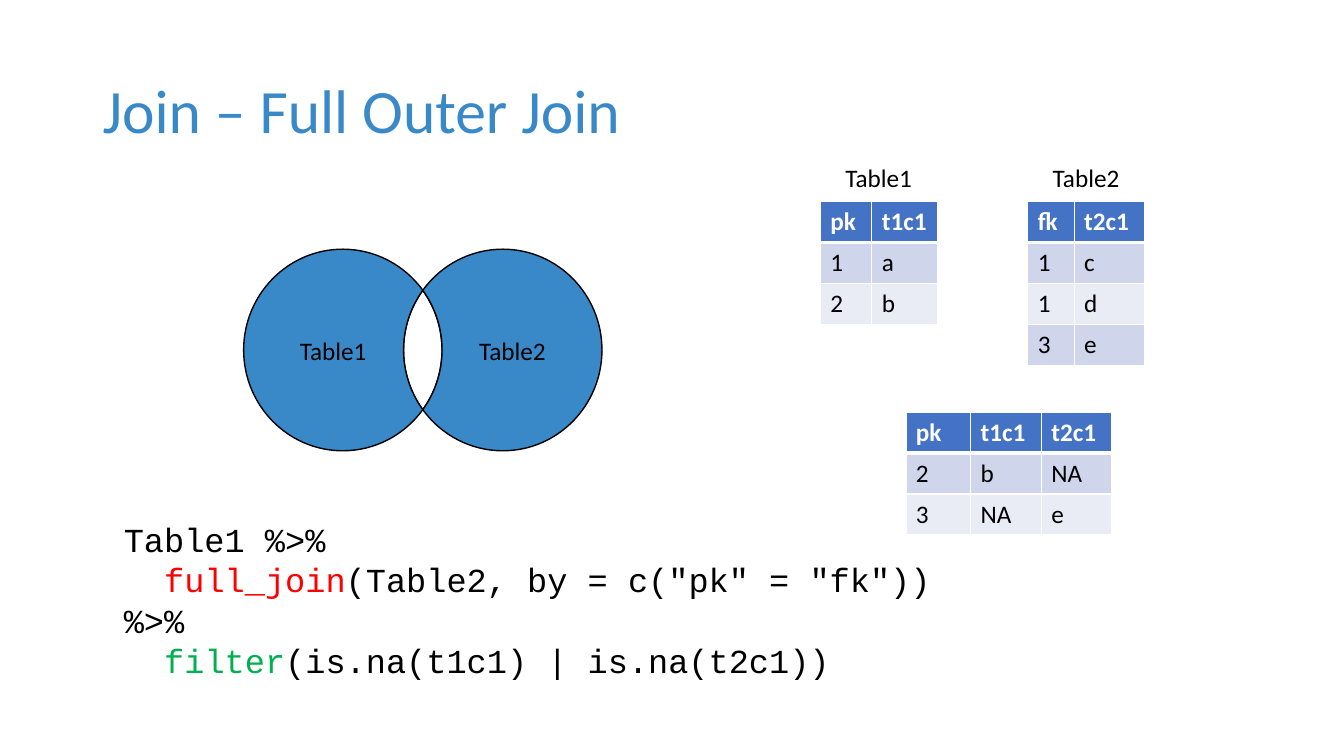
from dataclasses import dataclass
from itertools import pairwise
from math import acos, cos, pi, sin, tan

from lxml.etree import SubElement
from pptx import Presentation
from pptx.dml.color import RGBColor
from pptx.enum.text import MSO_ANCHOR, PP_ALIGN
from pptx.oxml.ns import qn
from pptx.util import Cm, Pt


@dataclass(frozen=True)
class Theme:
    accent: str = "3989C9"
    header: str = "4472C4"
    bands: tuple = ("CFD5EA", "E9EBF5")
    white: str = "FFFFFF"
    ink: str = "000000"
    join: str = "FF0000"
    filter: str = "00B050"
    sans: str = "Calibri"
    mono: str = "Courier New"
    title_size: int = 44
    code_size: int = 24
    body_size: int = 18


theme = Theme()


def add_run(paragraph, text, color=theme.ink, size=theme.body_size, font=theme.sans, bold=False):
    run = paragraph.add_run()
    run.text = text
    run.font.name = font
    run.font.size = Pt(size)
    run.font.bold = bold
    run.font.color.rgb = RGBColor.from_string(color)


def arc(center_x, *stops):
    """Bezier points in EMU, three for each step between angles, without the first stop."""
    points = []
    for start, end in pairwise(stops):
        pull = 4 / 3 * tan((end - start) / 4)
        for x, y in [(cos(start) - pull * sin(start), sin(start) + pull * cos(start)),
                     (cos(end) + pull * sin(end), sin(end) - pull * cos(end)),
                     (cos(end), sin(end))]:
            points.append((Cm(center_x + radius_x * x), Cm(center_y + radius_y * y)))
    return points


prs = Presentation()
prs.slide_width, prs.slide_height = Cm(33.87), Cm(19.05)
slide = prs.slides.add_slide(prs.slide_layouts[5])
shapes = slide.shapes

# Title
title = shapes.title
title.left, title.top, title.width, title.height = Cm(2.33), Cm(1.01), Cm(29.21), Cm(3.68)
title.text_frame.vertical_anchor = MSO_ANCHOR.MIDDLE
heading = title.text_frame.paragraphs[0]
heading.alignment = PP_ALIGN.LEFT
heading.line_spacing = 0.9
add_run(heading, "Join – Full Outer Join", theme.accent, theme.title_size)

# Input tables and the joined result
row_height = 1.03
label_gap = 1.12
tables = [
    ("Table1", 20.67, 5.08, [1.3, 1.65], ["pk t1c1", "1 a", "2 b"]),
    ("Table2", 25.9, 5.08, [1.17, 1.77], ["fk t2c1", "1 c", "1 d", "3 e"]),
    (None, 22.83, 10.39, [1.63, 1.78, 1.78], ["pk t1c1 t2c1", "2 b NA", "3 NA e"]),
]
for label, left, top, widths, rows in tables:
    total_width = Cm(sum(widths))
    table = shapes.add_table(len(rows), len(widths), Cm(left), Cm(top),
                             total_width, Cm(row_height * len(rows))).table
    for column, width in zip(table.columns, widths):
        column.width = Cm(width)
    for row_index, row in enumerate(rows):
        is_header = row_index == 0
        table.rows[row_index].height = Cm(row_height)
        for column_index, value in enumerate(row.split()):
            cell = table.cell(row_index, column_index)
            properties = cell._tc.get_or_add_tcPr()
            for side in "LRTB":
                thick = (is_header and side == "B") or (row_index == 1 and side == "T")
                border = SubElement(properties, qn(f"a:ln{side}"), w=str(Pt(3 if thick else 1)))
                SubElement(SubElement(border, qn("a:solidFill")), qn("a:srgbClr"), val=theme.white)
            cell.fill.solid()
            cell.fill.fore_color.rgb = RGBColor.from_string(
                theme.header if is_header else theme.bands[(row_index - 1) % 2])
            add_run(cell.text_frame.paragraphs[0], value,
                    theme.white if is_header else theme.ink, bold=is_header)
    if label:
        caption = shapes.add_textbox(Cm(left), Cm(top - label_gap), total_width, Cm(row_height))
        caption.text_frame.word_wrap = True
        caption.text_frame.paragraphs[0].alignment = PP_ALIGN.CENTER
        add_run(caption.text_frame.paragraphs[0], label)

# Venn diagram: two circles cut where they cross
left_x, right_x, center_y = 8.64, 12.67, 8.82
radius_x, radius_y = 2.5, 2.54
crossing = acos((right_x - left_x) / 2 / radius_x)
regions = [
    (None, arc(left_x, -crossing, 0, crossing)
     + arc(right_x, pi - crossing, pi, pi + crossing)),
    ("Table1", arc(left_x, crossing, pi / 2, pi, 3 * pi / 2, 2 * pi - crossing)
     + arc(right_x, pi + crossing, pi, pi - crossing)),
    ("Table2", arc(right_x, pi + crossing, 3 * pi / 2, 2 * pi, 5 * pi / 2, 3 * pi - crossing)
     + arc(left_x, crossing, 0, -crossing)),
]
for label, outline in regions:
    builder = shapes.build_freeform(*outline[-1])
    builder.add_line_segments(outline, close=True)
    region = builder.convert_to_shape()
    # Every three points become one Bezier curve
    segments = list(region._element.iter(qn("a:lnTo")))
    for first in range(0, len(segments), 3):
        curve = segments[first].makeelement(qn("a:cubicBezTo"))
        segments[first].addprevious(curve)
        for segment in segments[first:first + 3]:
            curve.append(segment[0])
            segment.getparent().remove(segment)
    region.shadow.inherit = False
    region.line.color.rgb = RGBColor.from_string(theme.ink)
    region.line.width = Pt(1)
    if label:
        region.fill.solid()
        region.fill.fore_color.rgb = RGBColor.from_string(theme.accent)
        region.text_frame.vertical_anchor = MSO_ANCHOR.MIDDLE
        region.text_frame.paragraphs[0].alignment = PP_ALIGN.CENTER
        add_run(region.text_frame.paragraphs[0], label)
    else:
        region.fill.background()

# Code
code = shapes.add_textbox(Cm(2.87), Cm(12.95), Cm(21.29), Cm(3.33)).text_frame
code.word_wrap = True
code_indent = Cm(1.02)
code_lines = [
    (0, [("Table1 %>%", theme.ink)]),
    (code_indent, [("full_join", theme.join),
                   ('(Table2, by = c("pk" = "fk")) %>%', theme.ink)]),
    (code_indent, [("filter", theme.filter), ("(is.na(t1c1) | is.na(t2c1))", theme.ink)]),
]
for line_index, (indent, pieces) in enumerate(code_lines):
    paragraph = code.add_paragraph() if line_index else code.paragraphs[0]
    paragraph._p.get_or_add_pPr().set("indent", str(indent))
    for text, color in pieces:
        add_run(paragraph, text, color, theme.code_size, theme.mono)

prs.save("out.pptx")
